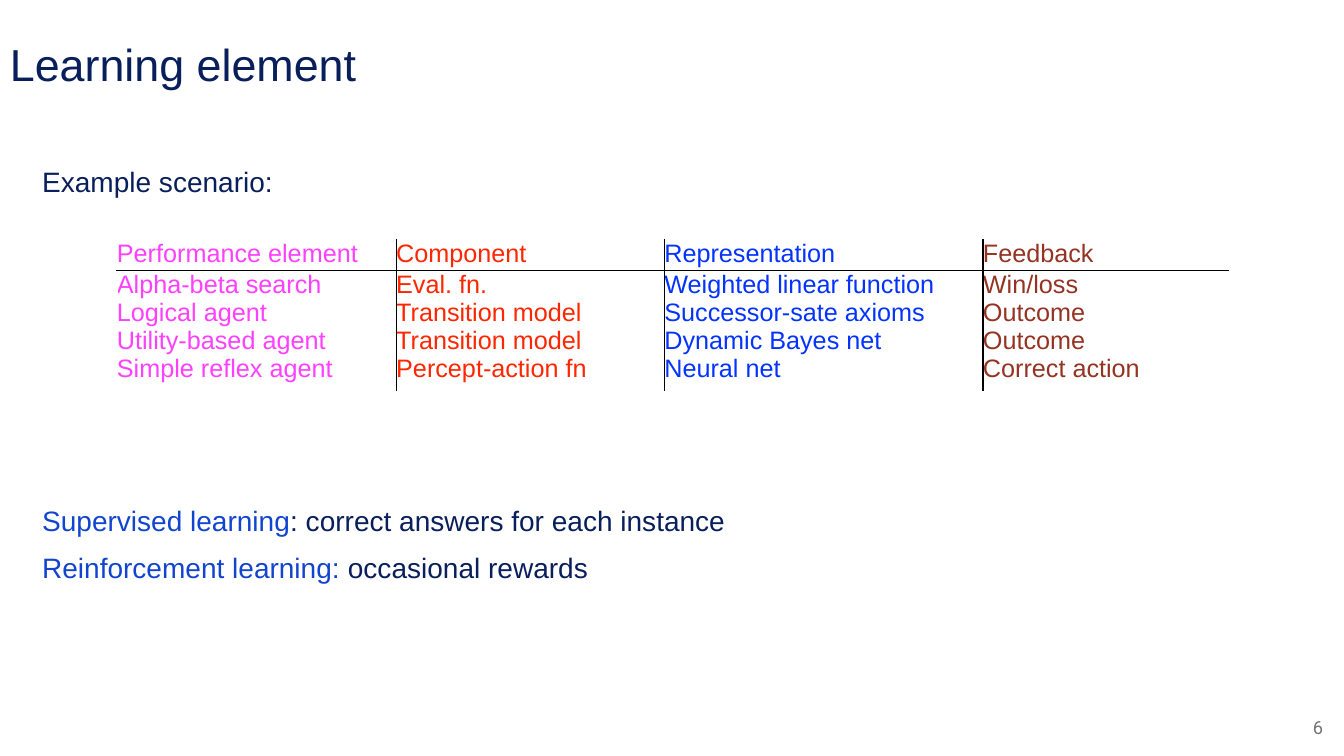
from lxml.etree import SubElement
from pptx import Presentation
from pptx.dml.color import RGBColor
from pptx.enum.text import MSO_ANCHOR, PP_ALIGN
from pptx.oxml.ns import qn
from pptx.util import Inches, Pt

NAVY, BLUE, BLACK, WHITE = "091F5C", "1245CF", "000000", "FFFFFF"


def color(code):
    return RGBColor.from_string(code)


def write(frame, *paras, size=20, font="Arial", align=PP_ALIGN.LEFT,
          anchor=MSO_ANCHOR.TOP, inset=0.1, wrap=True, space=None, before=0):
    """Fill a text frame; each paragraph is a list of (text, color) runs."""
    frame.word_wrap = wrap
    frame.vertical_anchor = anchor
    frame.margin_left = frame.margin_right = Inches(inset)
    frame.margin_top = frame.margin_bottom = Inches(inset)
    for i, runs in enumerate(paras):
        para = frame.add_paragraph() if i else frame.paragraphs[0]
        para.alignment = align
        para.line_spacing = space
        para.space_before = Pt(before)
        for text, code in runs:
            for j, line in enumerate(text.split("\n")):
                if j:
                    para.add_line_break()
                run = para.add_run()
                run.text = line
                run.font.size = Pt(size)
                run.font.name = font
                run.font.color.rgb = color(code)


deck = Presentation()
deck.slide_width, deck.slide_height = Inches(13.33), Inches(7.5)
slide = deck.slides.add_slide(deck.slide_layouts[6])

# Title, body text and page number
body = dict(space=1.15, before=6)
boxes = [
    ((0, 0.07, 13.33, 1.12), [[("Learning element", NAVY)]],
     dict(size=32, anchor=MSO_ANCHOR.MIDDLE)),
    ((0.32, 1.48, 12.7, 0.61), [[("Example scenario:", NAVY)]], body),
    ((0.32, 4.84, 12.7, 1.48),
     [[("Supervised learning", BLUE),
       (": correct answers for each instance", NAVY)],
      [("Reinforcement learning: ", BLUE), ("occasional rewards", NAVY)]],
     body),
    ((12.91, 7, 0.31, 0.42), [[("6", "737373")]],
     dict(size=13, font="Roboto", align=PP_ALIGN.RIGHT,
          anchor=MSO_ANCHOR.MIDDLE, wrap=False)),
]
for place, paras, form in boxes:
    box = slide.shapes.add_textbox(*map(Inches, place))
    write(box.text_frame, *paras, **form)

# Scenario table: width, color, heading, entries
columns = [
    (2.77, "FF40FF", "Performance element",
     "Alpha-beta search\nLogical agent\nUtility-based agent\nSimple reflex agent"),
    (2.66, "FF2600", "Component",
     "Eval. fn.\nTransition model\nTransition model\nPercept-action fn"),
    (3.16, "0433FF", "Representation",
     "Weighted linear function\nSuccessor-sate axioms\nDynamic Bayes net\nNeural net"),
    (2.43, "953322", "Feedback",
     "Win/loss\nOutcome\nOutcome\nCorrect action"),
]
heights = [0.3, 0.82]
width = sum(col[0] for col in columns)
table = slide.shapes.add_table(
    len(heights), len(columns), Inches(1.16), Inches(2.38),
    Inches(width), Inches(sum(heights))).table
for r, height in enumerate(heights):
    table.rows[r].height = Inches(height)
for c, (wide, code, *texts) in enumerate(columns):
    table.columns[c].width = Inches(wide)
    for r, text in enumerate(texts):
        cell = table.cell(r, c)
        write(cell.text_frame, [(text, code)], size=18, inset=0)
        cell.margin_left = cell.margin_right = 0
        cell.margin_top = cell.margin_bottom = 0
        # Inner edges are black, outer edges are white
        inner = {"lnL": c > 0, "lnR": c < len(columns) - 1,
                 "lnT": r > 0, "lnB": r < len(heights) - 1}
        props = cell._tc.get_or_add_tcPr()
        for side, dark in inner.items():
            edge = SubElement(props, qn(f"a:{side}"), w=str(Pt(1)))
            fill = SubElement(edge, qn("a:solidFill"))
            SubElement(fill, qn("a:srgbClr"), val=BLACK if dark else WHITE)
        cell.fill.solid()
        cell.fill.fore_color.rgb = color(WHITE)

deck.save("out.pptx")
